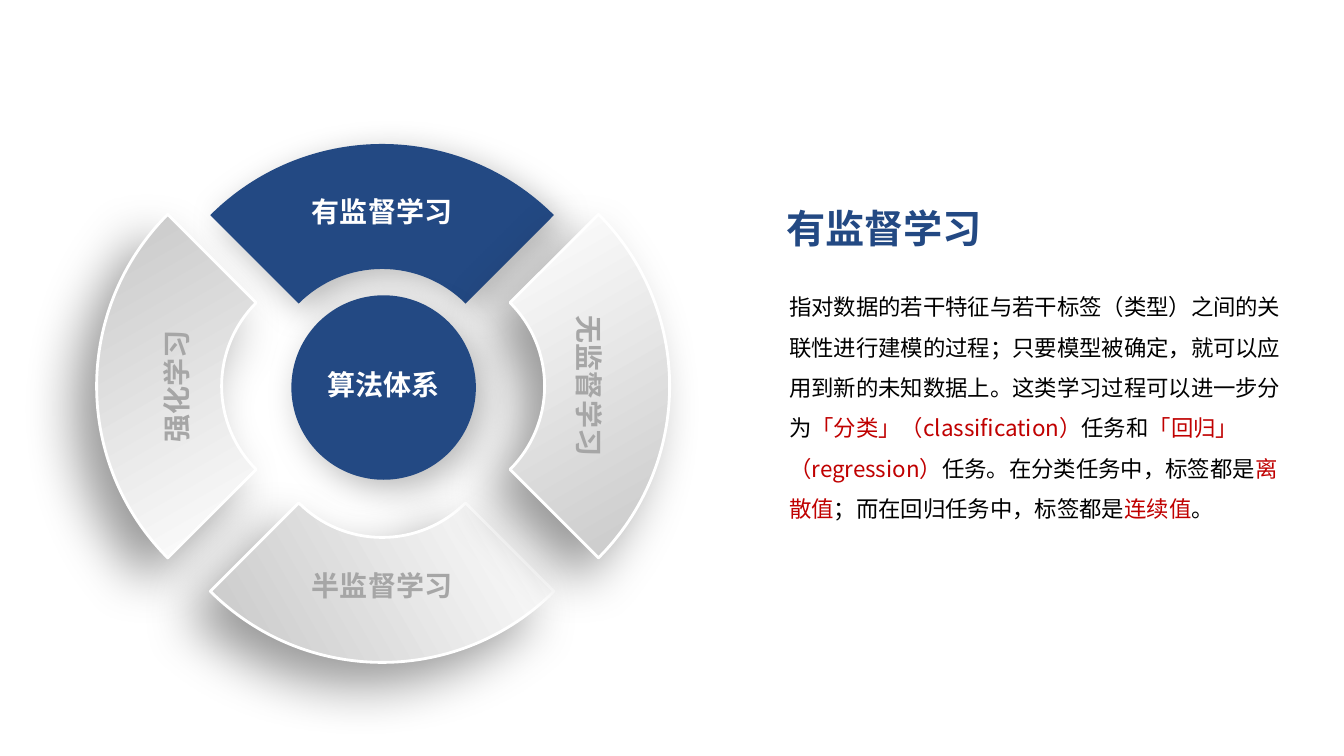
import math

import pptx
import pptx.util
import pptx.dml.color
import pptx.enum.shapes
import pptx.enum.text
import pptx.oxml
import pptx.oxml.ns

Inches = pptx.util.Inches
Pt = pptx.util.Pt
RGBColor = pptx.dml.color.RGBColor
PP_ALIGN = pptx.enum.text.PP_ALIGN

NAVY = RGBColor(0x23, 0x49, 0x83)
RED = RGBColor(0xC0, 0x00, 0x00)
BLACK = RGBColor(0x00, 0x00, 0x00)
WHITE = RGBColor(0xFF, 0xFF, 0xFF)
SILVER = RGBColor(0xC8, 0xC8, 0xC8)
GREY = RGBColor(0xA6, 0xA6, 0xA6)

OUTER, INNER, HALF_ANGLE = 2.41, 1.17, 45
# Radius and angle (clockwise from straight up) of each outline corner
CORNERS = [(OUTER, -HALF_ANGLE), (OUTER, 0), (OUTER, HALF_ANGLE),
           (INNER, HALF_ANGLE), (INNER, 0), (INNER, -HALF_ANGLE)]
SOFT_SHADOW = dict(alpha=28, blur=25, dist=9, angle=45)
DEEP_SHADOW = dict(alpha=40, blur=38, dist=22, angle=135)


def add_run(p, text, size=20, color=WHITE, bold=True, font="Noto Sans CJK SC"):
    r = p.add_run()
    r.text = text
    r.font.size = Pt(size)
    r.font.bold = bold
    r.font.color.rgb = color
    r.font.name = font
    ea = pptx.oxml.parse_xml(
        f'<a:ea {pptx.oxml.ns.nsdecls("a")} typeface="{font}"/>')
    r.font._element.find(pptx.oxml.ns.qn("a:latin")).addnext(ea)


def polar(radius, angle):
    a = math.radians(angle)
    return radius * math.sin(a), -radius * math.cos(a)


def arc_curve(radius, start, end, dx, dy):
    """Cubic curve for one arc, moved by (dx, dy) inches."""
    reach = 4 / 3 * math.tan(math.radians(end - start) / 4)
    (x0, y0), (x1, y1) = polar(radius, start), polar(radius, end)
    points = ((x0 - reach * y0, y0 + reach * x0),
              (x1 + reach * y1, y1 - reach * x1), (x1, y1))
    pts = "".join(f'<a:pt x="{Inches(x + dx)}" y="{Inches(y + dy)}"/>'
                  for x, y in points)
    return pptx.oxml.parse_xml(
        f'<a:cubicBezTo {pptx.oxml.ns.nsdecls("a")}>{pts}</a:cubicBezTo>')


class Deck:
    def __init__(self):
        self.prs = pptx.Presentation()
        self.prs.slide_width = Inches(13.33)
        self.prs.slide_height = Inches(7.5)
        self.slide = self.prs.slides.add_slide(self.prs.slide_layouts[6])

    def shadow(self, sp, alpha, blur, dist, angle):
        sp.shadow.inherit = False
        effects = sp._element.spPr.find(pptx.oxml.ns.qn("a:effectLst"))
        effects.append(pptx.oxml.parse_xml(
            f'<a:outerShdw {pptx.oxml.ns.nsdecls("a")} blurRad="{Pt(blur)}" '
            f'dist="{Pt(dist)}" dir="{angle * 60000}" algn="ctr" rotWithShape="0">'
            f'<a:srgbClr val="{BLACK}"><a:alpha val="{alpha * 1000}"/></a:srgbClr>'
            '</a:outerShdw>'))

    def solid(self, sp):
        sp.fill.solid()
        sp.fill.fore_color.rgb = NAVY
        sp.line.fill.background()
        self.shadow(sp, **SOFT_SHADOW)

    def faded(self, sp):
        sp.fill.gradient()
        sp.fill.gradient_angle = 30
        for stop, color in zip(sp.fill.gradient_stops, (WHITE, SILVER)):
            stop.color.rgb = color
        sp.line.color.rgb = WHITE
        sp.line.width = Pt(2)
        self.shadow(sp, **DEEP_SHADOW)

    def sector(self, cx, cy, rotation, active=False, text=None):
        """Ring sector whose bounding box is centred on (cx, cy)."""
        half_width = polar(OUTER, HALF_ANGLE)[0]
        hub_y = cy + (OUTER - polar(INNER, HALF_ANGLE)[1]) / 2
        points = [(Inches(cx + x), Inches(hub_y + y))
                  for x, y in (polar(*corner) for corner in CORNERS)]
        builder = self.slide.shapes.build_freeform(*points[0])
        builder.add_line_segments(points[1:], close=True)
        sp = builder.convert_to_shape()
        edges = list(sp._element.iter(pptx.oxml.ns.qn("a:lnTo")))
        for edge, (r0, start), (r1, end) in zip(edges, CORNERS, CORNERS[1:]):
            if r0 == r1:
                curve = arc_curve(r0, start, end, half_width, OUTER)
                edge.getparent().replace(edge, curve)
        sp.rotation = rotation
        if active:
            self.solid(sp)
        else:
            self.faded(sp)
        if text:
            tf = sp.text_frame
            tf.vertical_anchor = pptx.enum.text.MSO_ANCHOR.MIDDLE
            tf.paragraphs[0].alignment = PP_ALIGN.CENTER
            add_run(tf.paragraphs[0], text, color=GREY)

    def disc(self, x, y, size):
        sp = self.slide.shapes.add_shape(
            pptx.enum.shapes.MSO_SHAPE.OVAL,
            Inches(x), Inches(y), Inches(size), Inches(size))
        self.solid(sp)

    def text(self, x, y, w, h, runs, align=PP_ALIGN.LEFT, spacing=None, wrap=False):
        """Text box; runs is a list of (text, format) pairs."""
        sp = self.slide.shapes.add_textbox(Inches(x), Inches(y), Inches(w), Inches(h))
        tf = sp.text_frame
        tf.word_wrap = wrap
        tf.auto_size = pptx.enum.text.MSO_AUTO_SIZE.SHAPE_TO_FIT_TEXT
        p = tf.paragraphs[0]
        p.alignment = align
        p.line_spacing = spacing
        for text, style in runs:
            add_run(p, text, **style)


def main():
    deck = Deck()

    deck.text(7.7, 1.98, 2.17, 0.57, [("有监督学习", dict(size=28, color=NAVY))])
    plain = dict(size=16, color=BLACK, bold=False)
    key = dict(plain, color=RED)
    deck.text(7.73, 2.73, 5.1, 2.52, [
        ("指对数据的若干特征与若干标签（类型）之间的关联性进行建模的过程；只要模型被确定，"
         "就可以应用到新的未知数据上。这类学习过程可以进一步分为", plain),
        ("「分类」（classification）", key),
        ("任务和", plain),
        ("「回归」（regression）", key),
        ("任务。在分类任务中，标签都是", plain),
        ("离散值", key),
        ("；而在回归任务中，标签都是", plain),
        ("连续值", key),
        ("。", plain),
    ], spacing=1.5, wrap=True)

    deck.sector(3.79, 2.22, 0, active=True)
    deck.sector(1.75, 3.83, 270, text="强化学习")
    deck.sector(3.79, 5.78, 180)
    deck.sector(5.85, 3.83, 90, text="无监督学习")
    deck.disc(2.89, 2.93, 1.83)

    for y, label, color in ((1.94, "有监督学习", WHITE), (5.65, "半监督学习", GREY)):
        deck.text(2.99, y, 1.6, 0.38, [(label, dict(color=color))],
                  align=PP_ALIGN.CENTER, spacing=Pt(20))
    deck.text(3.15, 3.71, 1.32, 0.34, [("算法体系", dict(color=WHITE))], spacing=Pt(16))

    deck.prs.save("out.pptx")


if __name__ == "__main__":
    main()
